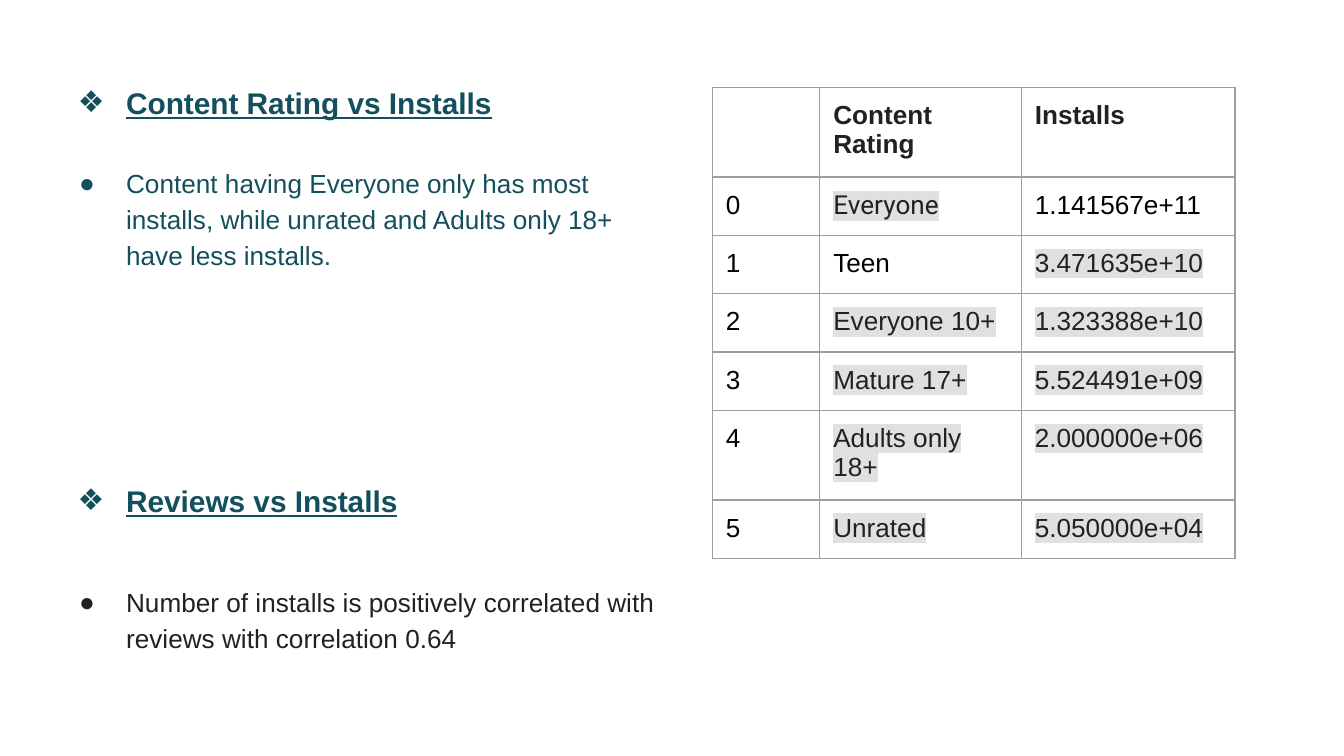
from lxml import etree
from pptx import Presentation
from pptx.dml.color import RGBColor
from pptx.oxml.ns import qn
from pptx.util import Inches, Pt

COLORS = {"teal": "134F5C", "ink": "212121", "black": "000000",
          "border": "9E9E9E", "highlight": "E0E0E0"}
MARGINS = ("margin_left", "margin_top", "margin_right", "margin_bottom")
HEADING = {"size": Pt(16), "bold": True, "underline": True, "name": "Arial"}
BODY = {"size": Pt(14), "bold": False, "underline": False, "name": "Arial"}
CELL = {"size": Pt(14), "bold": False, "name": "Arial"}

COLUMN_WIDTHS = (0.8, 1.5, 1.59)
ROW_HEIGHTS = (0.55, 0.35, 0.35, 0.35, 0.35, 0.55, 0.35)
HEADER = ("", "Content Rating", "Installs")
RATINGS = (
    ("Everyone", "1.141567e+11"),
    ("Teen", "3.471635e+10"),
    ("Everyone 10+", "1.323388e+10"),
    ("Mature 17+", "5.524491e+09"),
    ("Adults only 18+", "2.000000e+06"),
    ("Unrated", "5.050000e+04"),
)
PLAIN_VALUES = ("1.141567e+11", "Teen")


def set_attributes(target, values):
    for name, value in values.items():
        setattr(target, name, value)


def add_color(parent, color):
    etree.SubElement(parent, qn("a:srgbClr"), val=COLORS[color])


def add_run(paragraph, text, font_format, color):
    run = paragraph.add_run()
    run.text = text
    set_attributes(run.font, font_format)
    run.font.color.rgb = RGBColor.from_string(COLORS[color])
    return run


def highlight_run(run):
    highlight = etree.Element(qn("a:highlight"))
    add_color(highlight, "highlight")
    run.font._element.find(qn("a:solidFill")).addnext(highlight)


def set_bullet(paragraph, character, color, hanging):
    properties = paragraph._p.get_or_add_pPr()
    properties.set("marL", str(Inches(0.5)))
    properties.set("indent", str(-Inches(hanging)))
    add_color(etree.SubElement(properties, qn("a:buClr")), color)
    etree.SubElement(properties, qn("a:buFont"), typeface="Arial")
    etree.SubElement(properties, qn("a:buChar"), char=character)


def add_bullets(slide, box, items):
    """Place (text, kind, color, space before) items in one text box."""
    frame = slide.shapes.add_textbox(*map(Inches, box)).text_frame
    frame.word_wrap = True
    set_attributes(frame, dict.fromkeys(MARGINS, Inches(0.1)))
    for index, (text, kind, color, space) in enumerate(items):
        paragraph = frame.add_paragraph() if index else frame.paragraphs[0]
        set_attributes(paragraph, {"line_spacing": 1.15, "space_before": Pt(space)})
        if kind == "heading":
            set_bullet(paragraph, "❖", color, 0.36)
            add_run(paragraph, text, HEADING, color)
        else:
            set_bullet(paragraph, "●", color, 0.35)
            add_run(paragraph, text, BODY, color)


def set_borders(cell):
    properties = cell._tc.get_or_add_tcPr()
    for index, side in enumerate(("lnL", "lnR", "lnT", "lnB")):
        line = etree.Element(qn(f"a:{side}"), w=str(Pt(0.75)))
        add_color(etree.SubElement(line, qn("a:solidFill")), "border")
        properties.insert(index, line)


def fill_cell(cell, text, row, column):
    cell.fill.background()
    set_attributes(cell, dict.fromkeys(MARGINS, Inches(0.1)))
    set_borders(cell)
    if not text:
        return
    highlighted = row > 0 and column > 0 and text not in PLAIN_VALUES
    color = "ink" if row == 0 or highlighted else "black"
    font_format = {**CELL, "bold": row == 0}
    if text == "Everyone":
        font_format["name"] = "Roboto"
    run = add_run(cell.text_frame.paragraphs[0], text, font_format, color)
    if highlighted:
        highlight_run(run)


def add_ratings_table(slide, left, top, width, height):
    """Place the table; its rows grow to fit their text."""
    rows = [HEADER] + [(str(index), *rating) for index, rating in enumerate(RATINGS)]
    frame = slide.shapes.add_table(
        len(rows), len(HEADER), *map(Inches, (left, top, width, height)))
    table = frame.table
    set_attributes(table, {"first_row": False, "horz_banding": False})
    for column, column_width in zip(table.columns, COLUMN_WIDTHS):
        column.width = Inches(column_width)
    for row, row_height in zip(table.rows, ROW_HEIGHTS):
        row.height = Inches(row_height)
    set_attributes(frame, {"width": Inches(width), "height": Inches(height)})
    for row, values in enumerate(rows):
        for column, text in enumerate(values):
            fill_cell(table.cell(row, column), text, row, column)


def main():
    presentation = Presentation()
    presentation.slide_width = Inches(10)
    presentation.slide_height = presentation.slide_width * 9 // 16
    slide = presentation.slides.add_slide(presentation.slide_layouts[6])
    add_bullets(slide, (0.34, 0.49, 9.32, 0.63), [
        ("Content Rating vs Installs", "heading", "teal", 6)])
    add_bullets(slide, (0.34, 1.11, 4.37, 1.02), [
        ("Content having Everyone only has most installs, while unrated "
         "and Adults only 18+ have less installs.", "body", "teal", 6)])
    add_ratings_table(slide, 5.3, 0.65, 3.28, 3.28)
    add_bullets(slide, (0.34, 3.45, 4.73, 1.89), [
        ("Reviews vs Installs", "heading", "teal", 6),
        ("Number of installs is positively correlated with reviews "
         "with correlation 0.64", "body", "ink", 34)])
    presentation.save("out.pptx")


if __name__ == "__main__":
    main()
